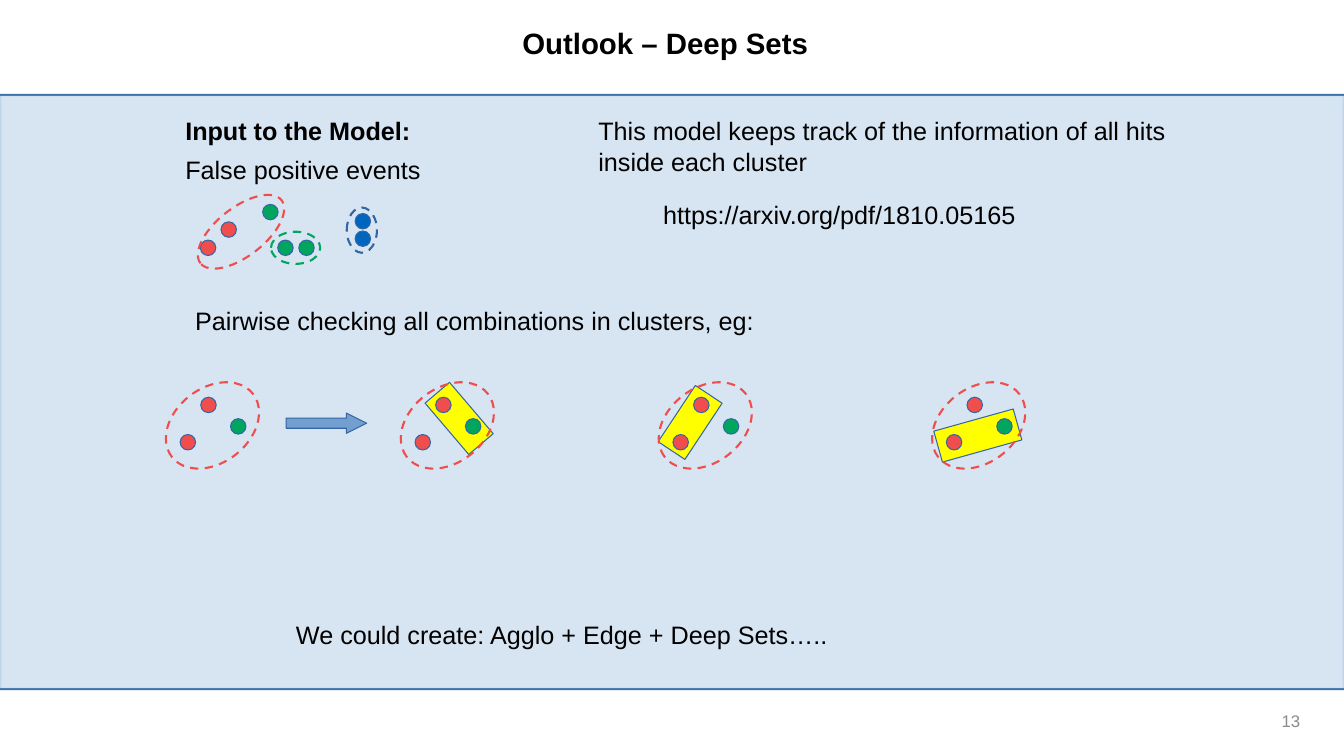
from lxml.etree import SubElement
from pptx import Presentation
from pptx.dml.color import RGBColor
from pptx.enum.dml import MSO_LINE
from pptx.enum.shapes import MSO_CONNECTOR, MSO_SHAPE
from pptx.enum.text import MSO_ANCHOR, MSO_AUTO_SIZE, PP_ALIGN
from pptx.oxml.ns import qn
from pptx.util import Cm, Pt

FONT = "Arial"
RED, GREEN, BLUE = "F04E4D", "00A65D", "0065BD"
OUTLINE, LIGHT, YELLOW = "3465A4", "729FCF", "FFFF00"
DOT = 0.39
WIDTH = 33.87
BAND_TOP, BAND_BOTTOM = 2.39, 17.37
CLUSTER_TOP = 9.78


def rgb(color):
    return RGBColor.from_string(color)


def set_opacity(fill, percent):
    """Make a solid fill translucent, given its a:solidFill parent."""
    color = fill.find(qn("a:solidFill"))[0]
    SubElement(color, qn("a:alpha"), val=str(percent * 1000))


def add_shape(shapes, kind, x, y, w, h, fill=None, line=OUTLINE, width=0,
              rotation=0):
    sp = shapes.add_shape(kind, Cm(x), Cm(y), Cm(w), Cm(h))
    sp.shadow.inherit = False
    sp.rotation = rotation
    if fill:
        sp.fill.solid()
        sp.fill.fore_color.rgb = rgb(fill)
    else:
        sp.fill.background()
    sp.line.color.rgb = rgb(line)
    sp.line.width = Pt(width)
    return sp


def add_dot(shapes, x, y, color):
    add_shape(shapes, MSO_SHAPE.OVAL, x, y, DOT, DOT, color)


def add_ring(shapes, x, y, w, h, color, rotation=0):
    ring = add_shape(shapes, MSO_SHAPE.OVAL, x, y, w, h, None, color, 1.5,
                     rotation)
    ring.line.dash_style = MSO_LINE.DASH


def add_rule(s, y):
    line = s.shapes.add_connector(MSO_CONNECTOR.STRAIGHT,
                                  Cm(0), Cm(y), Cm(WIDTH), Cm(y))
    line.line.color.rgb = rgb(OUTLINE)
    line.line.width = Pt(1.5)
    SubElement(line._element.spPr, qn("a:effectLst"))


def write(sp, text, size=18, color="000000", bold=False, align=PP_ALIGN.LEFT,
          anchor=MSO_ANCHOR.TOP):
    tf = sp.text_frame
    tf.word_wrap = True
    tf.auto_size = MSO_AUTO_SIZE.NONE
    tf.vertical_anchor = anchor
    p = tf.paragraphs[0]
    p.alignment = align
    r = p.add_run()
    r.text = text
    r.font.name = FONT
    r.font.size = Pt(size)
    r.font.bold = bold
    r.font.color.rgb = rgb(color)


def add_text(s, x, y, w, h, text, **style):
    write(s.shapes.add_textbox(Cm(x), Cm(y), Cm(w), Cm(h)), text, **style)


def add_title(s, text):
    title = s.shapes.title
    title.left, title.top = Cm(6.86), Cm(0.51)
    title.width, title.height = Cm(19.81), Cm(1.07)
    write(title, text, size=21, bold=True, align=PP_ALIGN.CENTER)


def add_band(s):
    add_rule(s, BAND_BOTTOM)
    add_rule(s, BAND_TOP)
    band = add_shape(s.shapes, MSO_SHAPE.RECTANGLE, 0, BAND_TOP, WIDTH,
                     BAND_BOTTOM - BAND_TOP, LIGHT, LIGHT, 2.3)
    set_opacity(band._element.spPr, 28)
    set_opacity(band.line._get_or_add_ln(), 20)


def add_input_events(s):
    shapes = s.shapes.add_group_shape().shapes
    for x, y, color in [(5.05, 6.05, RED), (5.57, 5.59, RED),
                        (7.0, 6.05, GREEN), (7.53, 6.05, GREEN),
                        (6.62, 5.15, GREEN),
                        (8.95, 5.82, BLUE), (8.95, 5.38, BLUE)]:
        add_dot(shapes, x, y, color)
    add_ring(shapes, 8.74, 5.23, 0.76, 1.14, OUTLINE)
    add_ring(shapes, 6.83, 5.84, 1.24, 0.81, GREEN)
    add_ring(shapes, 4.78, 5.23, 2.59, 1.22, RED, 322.1)


def add_cluster(s, x, pair=None):
    """Draw three hits in a ring; pair is the (dx, dy, width, rotation) marker."""
    if pair:
        dx, dy, width, rotation = pair
        add_shape(s.shapes, MSO_SHAPE.RECTANGLE, x + dx, CLUSTER_TOP + dy,
                  width, 0.81, YELLOW, rotation=rotation)
    shapes = s.shapes.add_group_shape().shapes
    for dx, dy, color in [(0.48, 1.17, RED), (1.0, 0.23, RED),
                          (1.75, 0.77, GREEN)]:
        add_dot(shapes, x + dx, CLUSTER_TOP + dy, color)
    add_ring(shapes, x, CLUSTER_TOP, 2.59, 1.88, RED, 322.1)


def main():
    prs = Presentation()
    prs.slide_width, prs.slide_height = Cm(WIDTH), Cm(19.05)
    s = prs.slides.add_slide(prs.slide_layouts[5])

    add_band(s)
    add_title(s, "Outlook – Deep Sets")

    add_text(s, 4.42, 2.79, 11.18, 0.97, "Input to the Model:", bold=True)
    add_text(s, 4.42, 3.76, 7.11, 1.07, "False positive events")
    add_input_events(s)
    add_text(s, 14.83, 2.79, 15.49, 1.68,
             "This model keeps track of the information of all hits "
             "inside each cluster")
    add_text(s, 16.46, 4.9, 14.12, 1.19, "https://arxiv.org/pdf/1810.05165")

    add_text(s, 4.67, 7.57, 16.51, 2.39,
             "Pairwise checking all combinations in clusters, eg:")
    for x, pair in [(4.06, None),
                    (9.98, (0.74, 0.36, 1.7, 49.6)),
                    (16.48, (0.06, 0.46, 1.7, 123.5)),
                    (23.37, (0.23, 0.79, 2.08, 164.4))]:
        add_cluster(s, x, pair)
    arrow = add_shape(s.shapes, MSO_SHAPE.RIGHT_ARROW, 7.21, 10.41, 2.03, 0.51,
                      LIGHT)
    arrow.adjustments[0], arrow.adjustments[1] = 0.5, 1

    add_text(s, 7.21, 15.49, 20.83, 0.97,
             "We could create: Agglo + Edge + Deep Sets…..")
    add_text(s, 25.4, 17.65, 7.62, 1.02, "13", size=12, color="8B8B8B",
             align=PP_ALIGN.RIGHT, anchor=MSO_ANCHOR.MIDDLE)
    prs.save("out.pptx")


if __name__ == "__main__":
    main()
